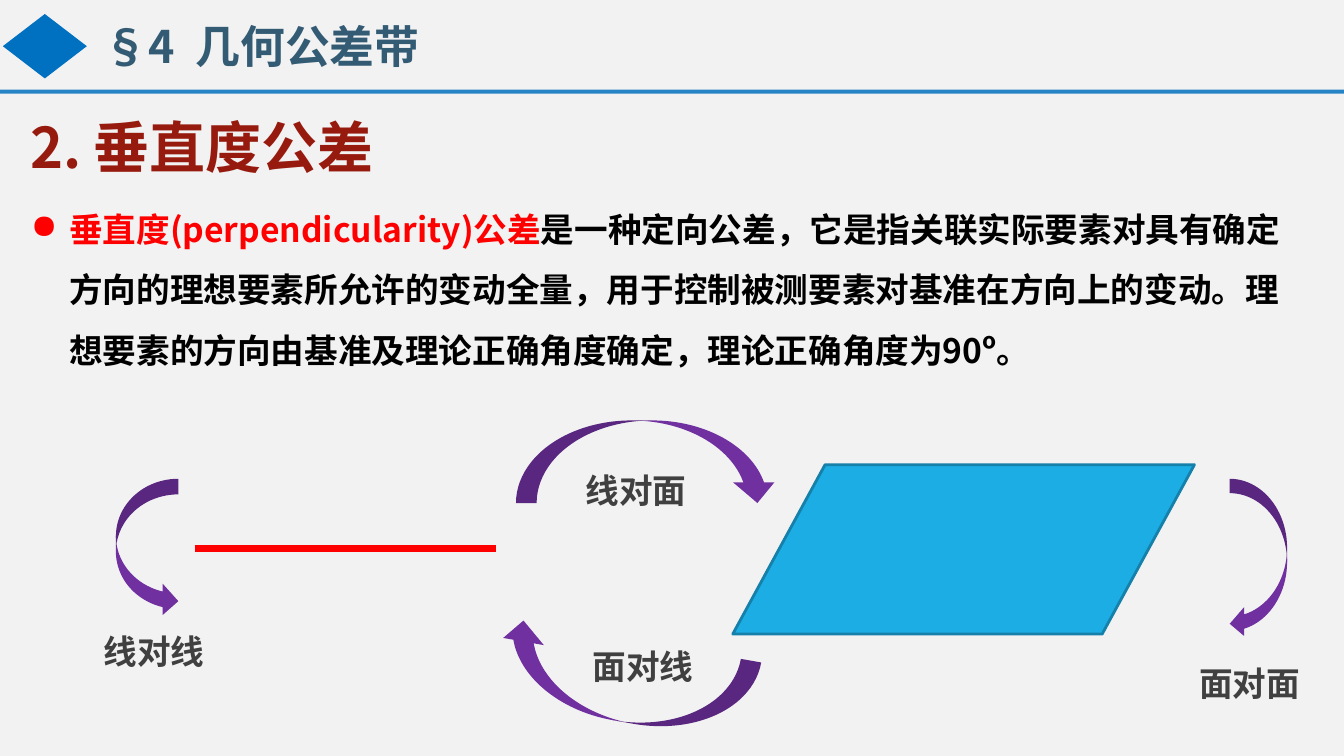
"""Builds a slide on perpendicularity tolerance."""
from lxml import etree
from pptx import Presentation
from pptx.dml.color import RGBColor
from pptx.enum.shapes import MSO_CONNECTOR, MSO_SHAPE
from pptx.enum.text import MSO_ANCHOR, MSO_AUTO_SIZE, PP_ALIGN
from pptx.oxml.ns import qn
from pptx.util import Pt

STRAIGHT = MSO_CONNECTOR.STRAIGHT
RECTANGLE, DIAMOND = MSO_SHAPE.RECTANGLE, MSO_SHAPE.DIAMOND
PARALLELOGRAM = MSO_SHAPE.FLOWCHART_DATA
ARROW_LEFT = MSO_SHAPE.CURVED_LEFT_ARROW
ARROW_RIGHT = MSO_SHAPE.CURVED_RIGHT_ARROW
MIDDLE, TOP = MSO_ANCHOR.MIDDLE, MSO_ANCHOR.TOP
NO_AUTOFIT = MSO_AUTO_SIZE.NONE
ALIGN_LEFT = PP_ALIGN.LEFT

PAPER = RGBColor(0xF2, 0xF2, 0xF2)
EMBLEM_BLUE = RGBColor(0x00, 0x70, 0xC0)
RULE_BLUE = RGBColor(0x26, 0x83, 0xC6)
TITLE_BLUE = RGBColor(0x33, 0x5B, 0x74)
HEADING_RED = RGBColor(0x96, 0x1B, 0x0E)
RED = RGBColor(0xFF, 0x00, 0x00)
BLACK = RGBColor(0x00, 0x00, 0x00)
PLANE_FILL = RGBColor(0x1C, 0xAD, 0xE4)
PLANE_EDGE = RGBColor(0x15, 0x80, 0xA9)
PURPLE = RGBColor(0x70, 0x30, 0xA0)
CAPTION_GRAY = RGBColor(0x40, 0x40, 0x40)
FONT = "Noto Sans CJK SC"


def write(paragraph, text, size=24, color=CAPTION_GRAY, bold=True):
    """Adds one formatted run to a paragraph."""
    run = paragraph.add_run()
    run.text = text
    run.font.size = Pt(size)
    run.font.bold = bold
    run.font.color.rgb = color
    run.font.name = FONT
    east_asian = etree.SubElement(run.font._element, qn("a:ea"))
    east_asian.set("typeface", FONT)


class SlideBuilder:
    """Holds the current slide and adds styled elements to it."""

    def __init__(self, slide):
        self.slide = slide
        slide.background.fill.solid()
        slide.background.fill.fore_color.rgb = PAPER

    def title(self, text, left, top, width, height):
        """Places and fills the title."""
        heading = self.slide.shapes.title
        heading.left, heading.top = Pt(left), Pt(top)
        heading.width, heading.height = Pt(width), Pt(height)
        frame = heading.text_frame
        frame.auto_size = NO_AUTOFIT
        frame.vertical_anchor = MIDDLE
        frame.paragraphs[0].alignment = ALIGN_LEFT
        write(frame.paragraphs[0], text, size=32, color=TITLE_BLUE)

    def text_box(self, left, top, width, height, wrap=True):
        """Adds an empty text box and returns its frame."""
        box = self.slide.shapes.add_textbox(Pt(left), Pt(top), Pt(width), Pt(height))
        frame = box.text_frame
        frame.word_wrap = wrap
        frame.vertical_anchor = TOP
        return frame

    def caption(self, text, left, top):
        """Adds a short label."""
        write(self.text_box(left, top, 87, 36, wrap=False).paragraphs[0], text)

    def bullet(self, frame, mark="●"):
        """Adds a bulleted paragraph to a frame."""
        paragraph = frame.add_paragraph()
        paragraph.line_spacing = 1.5
        paragraph.space_before = Pt(6)
        properties = paragraph._p.get_or_add_pPr()
        properties.set("marL", str(Pt(28)))
        properties.set("indent", str(-Pt(27.4)))
        etree.SubElement(properties, qn("a:buChar")).set("char", mark)
        return paragraph

    def shape(self, kind, left, top, width, height, fill, edge=None, rotation=0):
        """Adds a filled preset shape."""
        shape = self.slide.shapes.add_shape(kind, Pt(left), Pt(top), Pt(width), Pt(height))
        shape.shadow.inherit = False
        shape.rotation = rotation
        shape.fill.solid()
        shape.fill.fore_color.rgb = fill
        if edge is None:
            shape.line.fill.background()
        else:
            shape.line.color.rgb = edge
            shape.line.width = Pt(2)

    def line(self, start_x, end_x, y, color, weight):
        """Adds a horizontal line."""
        line = self.slide.shapes.add_connector(STRAIGHT, Pt(start_x), Pt(y), Pt(end_x), Pt(y))
        line.line.color.rgb = color
        line.line.width = Pt(weight)
        etree.SubElement(line._element.spPr, qn("a:effectLst"))


def main():
    """Builds and saves the slide."""
    deck = Presentation()
    deck.slide_width, deck.slide_height = Pt(960), Pt(540)
    page = SlideBuilder(deck.slides.add_slide(deck.slide_layouts[5]))

    page.shape(DIAMOND, 2, 10, 60, 46, EMBLEM_BLUE)
    page.shape(RECTANGLE, 0, 64, 960, 2.9, RULE_BLUE)
    page.title("§4  几何公差带", 67, 9.4, 657, 46)

    body = page.text_box(14.4, 77, 930, 412.6)
    write(body.paragraphs[0], "2. 垂直度公差", size=40, color=HEADING_RED)
    definition = page.bullet(body)
    write(definition, "垂直度(perpendicularity)公差", color=RED)
    write(
        definition,
        "是一种定向公差，它是指关联实际要素对具有确定方向的理想要素所允许的变动全量，"
        "用于控制被测要素对基准在方向上的变动。"
        "理想要素的方向由基准及理论正确角度确定，理论正确角度为90º。",
        color=BLACK,
    )

    page.line(139, 354.2, 391.7, RED, 4.5)
    page.shape(PARALLELOGRAM, 523.4, 331.9, 329.8, 121, PLANE_FILL, edge=PLANE_EDGE)

    for kind, left, top, width, height, rotation in (
        (ARROW_RIGHT, 82.8, 342, 44.6, 98.6, 0),
        (ARROW_LEFT, 878.4, 342, 41, 113.8, 0),
        (ARROW_LEFT, 416.9, 392.4, 59, 187.2, 100),
        (ARROW_LEFT, 432.7, 236.2, 59, 187.2, 270),
    ):
        page.shape(kind, left, top, width, height, PURPLE, rotation=rotation)

    for relation, left, top in (
        ("线对线", 67, 447.1),
        ("面对面", 849.6, 470.2),
        ("线对面", 411.1, 331.9),
        ("面对线", 416.2, 457.9),
    ):
        page.caption(relation, left, top)

    deck.save("out.pptx")


if __name__ == "__main__":
    main()
